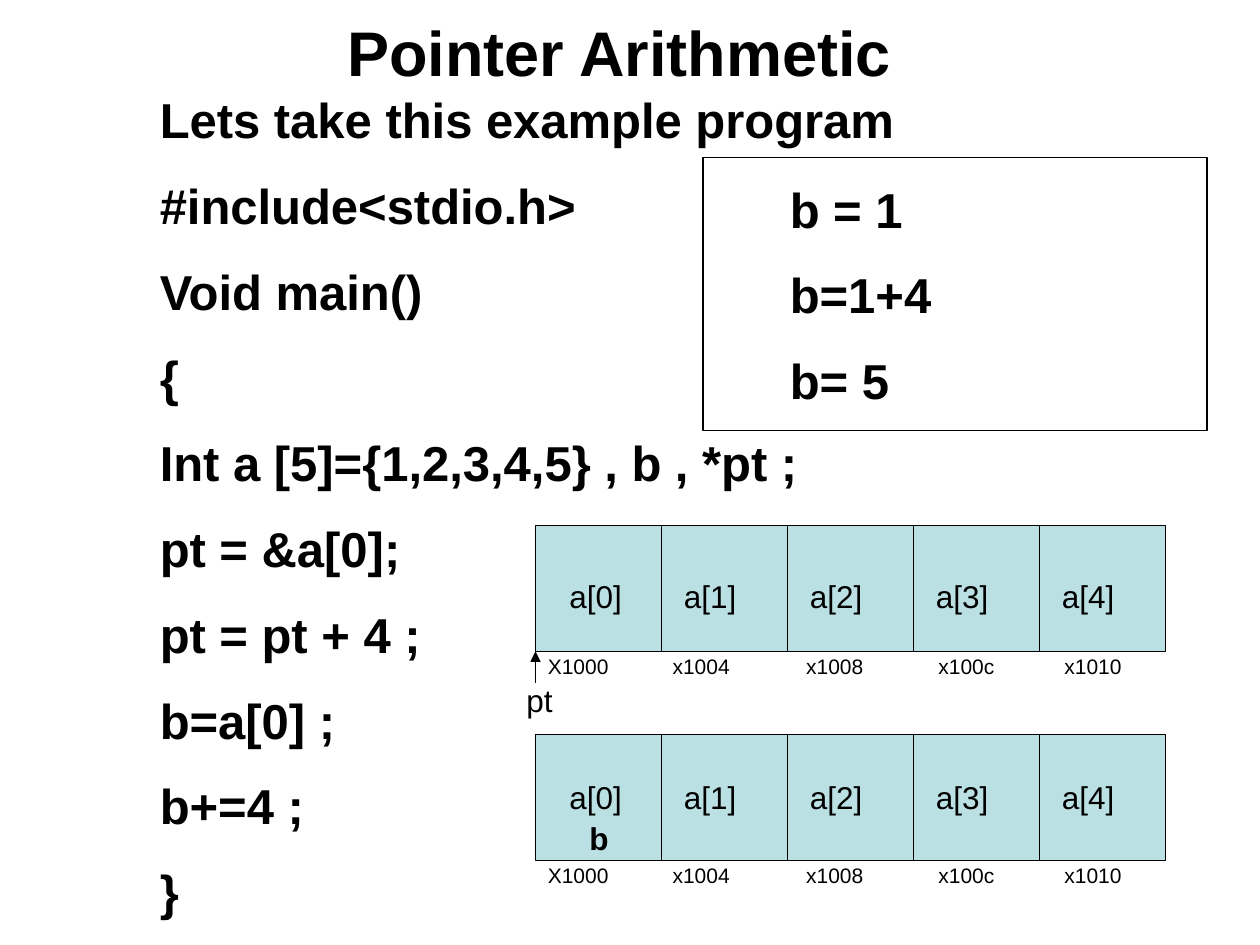
import pptx
import pptx.dml.color
import pptx.enum.shapes
import pptx.enum.text
import pptx.oxml.ns
import pptx.util
from lxml import etree
from pptx.util import Inches

BLACK = pptx.dml.color.RGBColor(0x00, 0x00, 0x00)
CELL_FILL = pptx.dml.color.RGBColor(0xBB, 0xE0, 0xE3)
qn = pptx.oxml.ns.qn


def add_text(shapes, left, top, width, height, lines, size, bold=False, tabs=()):
    """Add a text box, one paragraph per line; tabs are stops in inches."""
    box = shapes.add_textbox(Inches(left), Inches(top), Inches(width), Inches(height))
    tf = box.text_frame
    tf.word_wrap = True
    # Lower the first line a little, in proportion to the text size
    tf.margin_top = Inches(0.05 + 0.0015 * size)
    for i, line in enumerate(lines):
        p = tf.paragraphs[0] if i == 0 else tf.add_paragraph()
        p.space_before = pptx.util.Pt(0.55 * size if i else 0)
        if tabs:
            tab_list = etree.SubElement(p._p.get_or_add_pPr(), qn("a:tabLst"))
            for stop in tabs:
                etree.SubElement(tab_list, qn("a:tab"), pos=str(Inches(stop)), algn="l")
        r = p.add_run()
        r.text = line
        r.font.name = "Arial"
        r.font.size = pptx.util.Pt(size)
        r.font.bold = bold
        r.font.color.rgb = BLACK
    return box


def add_box(shapes, left, top, width, height, fill=None):
    sp = shapes.add_shape(pptx.enum.shapes.MSO_SHAPE.RECTANGLE,
                          Inches(left), Inches(top), Inches(width), Inches(height))
    sp.shadow.inherit = False
    if fill is None:
        sp.fill.background()
    else:
        sp.fill.solid()
        sp.fill.fore_color.rgb = fill
    sp.line.color.rgb = BLACK
    sp.line.width = pptx.util.Pt(0.75)


prs = pptx.Presentation()
prs.slide_width = Inches(10)
prs.slide_height = Inches(7.5)
s = prs.slides.add_slide(prs.slide_layouts[6])
shapes = s.shapes

title = add_text(shapes, 0.58, 0, 8.67, 0.71, ["Pointer Arithmetic"], 36, True)
title.text_frame.paragraphs[0].alignment = pptx.enum.text.PP_ALIGN.CENTER

program = [
    "Lets take this example program",
    "#include<stdio.h>",
    "Void main()",
    "{",
    "Int a [5]={1,2,3,4,5} , b , *pt ;",
    "pt = &a[0];",
    "pt = pt + 4 ;",
    "b=a[0] ;",
    "b+=4 ;",
    "}",
]
add_text(shapes, 1.17, 0.62, 8.83, 6.91, program, 28, True)

# Two views of the array: cells, element names and addresses
addresses = "\t".join(["X1000", "x1004", "x1008", "x100c", "x1010"])
for cell_top, name_top, address_top in [(4.17, 4.5, 5.12), (5.83, 6.1, 6.78)]:
    for i in range(5):
        add_box(shapes, 4.25 + i, cell_top, 1, 1, CELL_FILL)
    for i in range(5):
        name_left = 4.33 + i if i else 4.42
        add_text(shapes, name_left, name_top, 0.75, 0.4, [f"a[{i}]"], 18)
    add_text(shapes, 4.25, address_top, 5, 0.3, [addresses], 12,
             tabs=[0.99, 2.05, 3.1, 4.1])

# Pointer arrow with its label
pointer = shapes.add_group_shape()
arrow = pointer.shapes.add_connector(pptx.enum.shapes.MSO_CONNECTOR.STRAIGHT,
                                     Inches(4.25), Inches(5.42), Inches(4.25), Inches(5.17))
arrow.line.color.rgb = BLACK
arrow.line.width = pptx.util.Pt(0.75)
etree.SubElement(arrow.line._get_or_add_ln(), qn("a:tailEnd"), type="triangle")
etree.SubElement(arrow._element.spPr, qn("a:effectLst"))
add_text(pointer.shapes, 4.08, 5.33, 0.58, 0.4, ["pt"], 18)

add_text(shapes, 4.58, 6.42, 0.5, 0.4, ["b"], 18, True)

# Result
add_text(shapes, 6.17, 1.33, 3.5, 1.98, ["b = 1", "b=1+4", "b= 5"], 28, True)
add_box(shapes, 5.58, 1.25, 4, 2.17)

prs.save("out.pptx")
